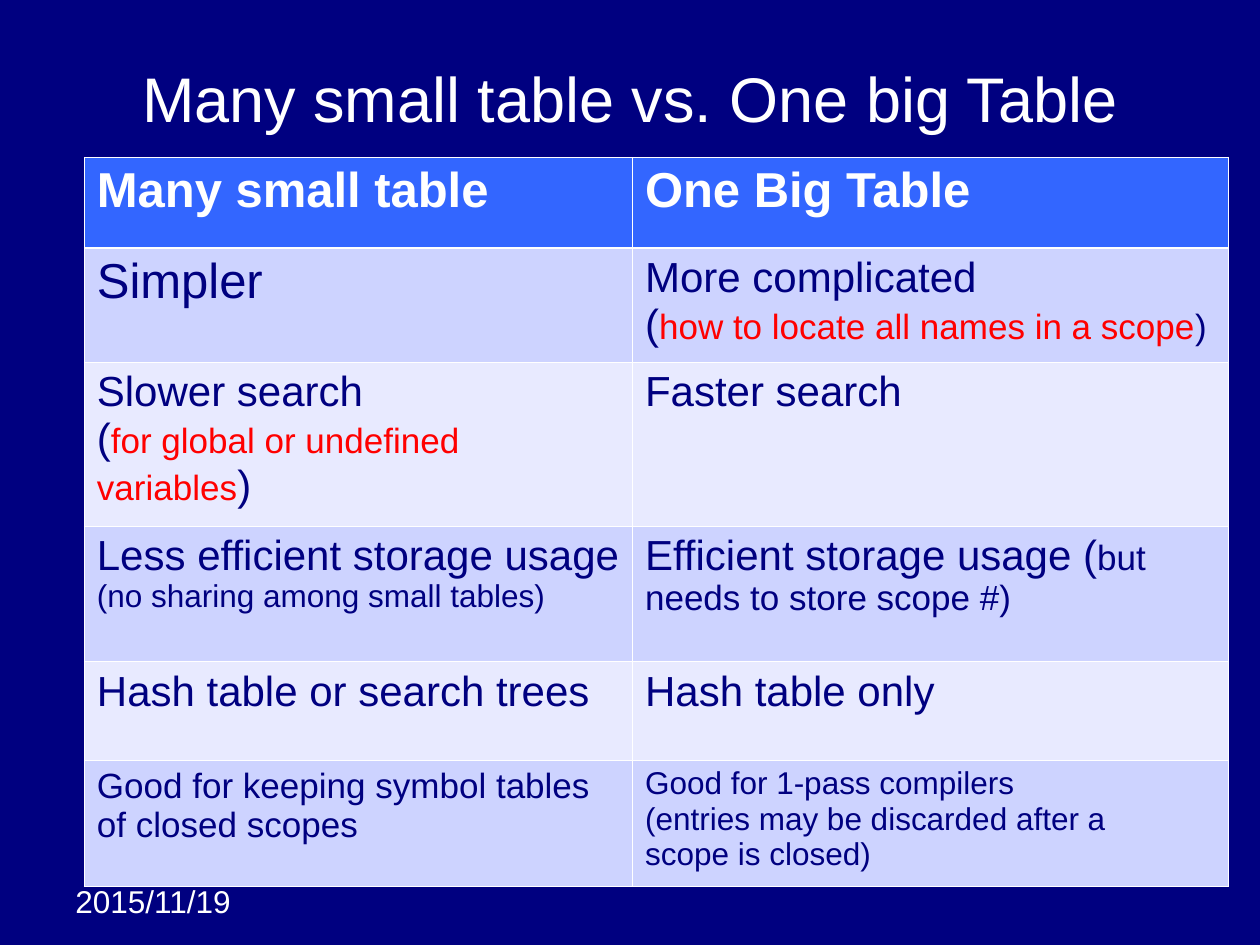
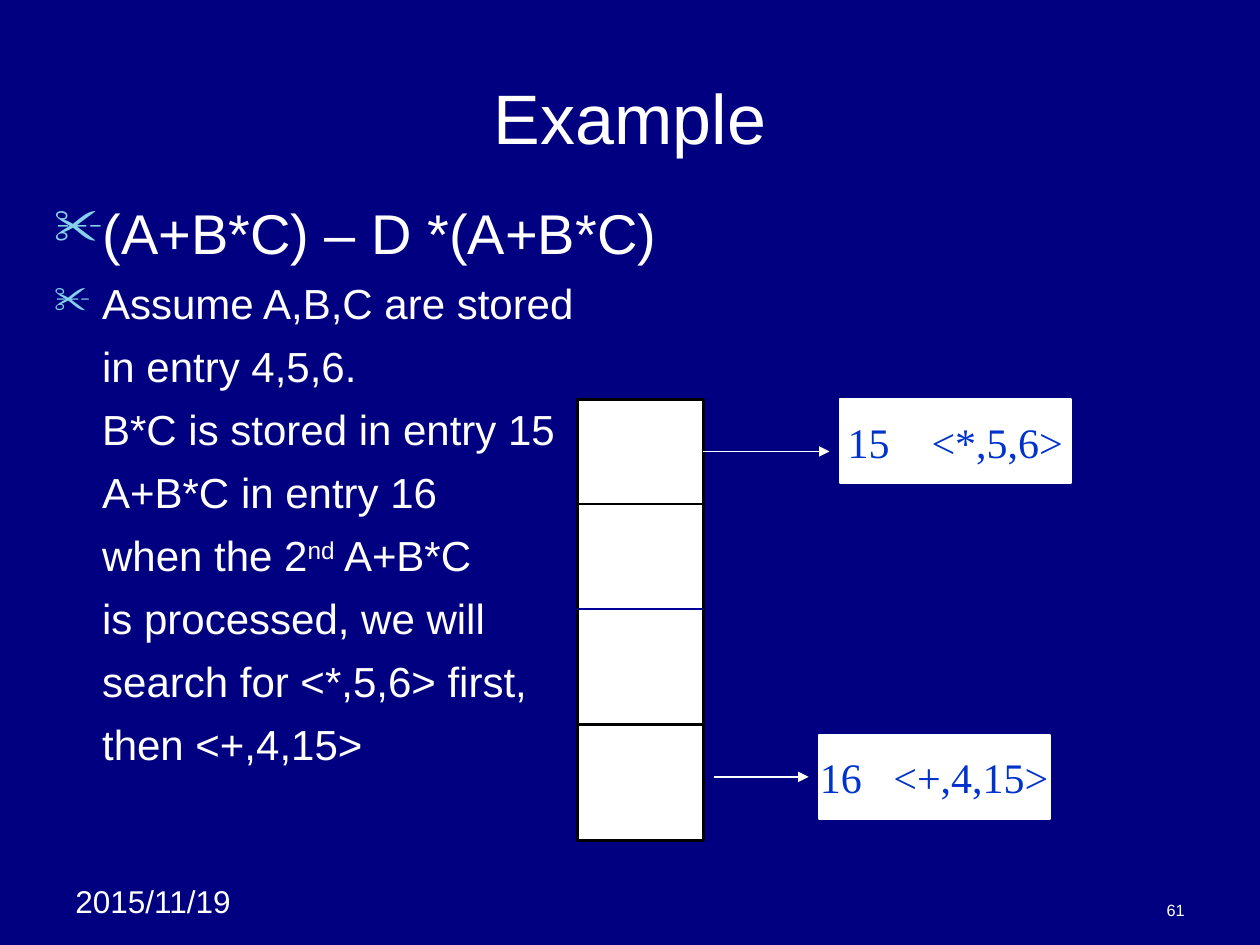
from dataclasses import dataclass
from typing import NamedTuple

from lxml.etree import SubElement
from pptx import Presentation
from pptx.dml.color import RGBColor
from pptx.enum.shapes import MSO_CONNECTOR, MSO_SHAPE
from pptx.enum.text import MSO_ANCHOR, PP_ALIGN
from pptx.oxml import parse_xml
from pptx.oxml.ns import nsdecls, qn
from pptx.util import Cm, Pt

COLORS = {
    "navy": "000080",
    "white": "FFFFFF",
    "black": "000000",
    "red": "FF0000",
    "header": "3366FF",
    "band_dark": "CDD3FF",
    "band_light": "E8EAFF",
    "bullet": "86D1EC",
    "divider": "000099",
    "entry": "0033CC",
}
SANS = "Arial"
SERIF = "Times New Roman"
THIN, THICK = 0.45, 1.47
HANGING = 0.97


class Box(NamedTuple):
    left: float
    top: float
    width: float
    height: float

    def lengths(self) -> list:
        return [Cm(value) for value in self]


@dataclass(frozen=True)
class Span:
    text: str
    size: float = 24
    color: str = "navy"
    bold: bool = False
    font: str = SANS
    superscript: bool = False


@dataclass(frozen=True)
class Line:
    start: tuple[float, float]
    end: tuple[float, float]
    color: str
    width: float
    arrow: bool = False


@dataclass(frozen=True)
class Entry:
    box: Box
    text: str
    inset: float
    tab: float


DATE_BOX = Box(1.27, 17.65, 4.01, 1.02)
NUMBER_BOX = Box(18.21, 17.98, 5.92, 0.69)
TABLE_BOX = Box(1.7, 3.17, 23.06, 14.68)
BODY_BOX = Box(0.84, 3.87, 22.66, 13.3)
STACK_BOX = Box(11.64, 8.05, 2.54, 8.89)

COLUMN_WIDTHS = (11.05, 12.01)
ROW_HEIGHTS = (1.83, 2.3, 3.29, 2.74, 1.98, 2.54)

COMPARISON = [
    [
        [[Span("Many small table", 28, "white", True)]],
        [[Span("One Big Table", 28, "white", True)]],
    ],
    [
        [[Span("Simpler", 28)]],
        [
            [Span("More complicated")],
            [Span("("), Span("how to locate all names in a scope", 20, "red"), Span(")", 20)],
        ],
    ],
    [
        [
            [Span("Slower search")],
            [Span("("), Span("for global or undefined variables", 20, "red"), Span(")")],
        ],
        [[Span("Faster search")]],
    ],
    [
        [[Span("Less efficient storage usage")], [Span("(no sharing among small tables)", 18)]],
        [[Span("Efficient storage usage ("), Span("but needs to store scope #)", 20)]],
    ],
    [[[Span("Hash table or search trees")]], [[Span("Hash table only")]]],
    [
        [[Span("Good for keeping symbol tables of closed scopes", 20)]],
        [
            [Span("Good for 1-pass compilers", 18)],
            [Span("(entries may be discarded after a", 18)],
            [Span("scope is closed)", 18)],
        ],
    ],
]

EXPRESSION = [Span("(A+B*C) – D *(A+B*C)", 32, "white")]
EXPLANATION = [
    [Span("Assume A,B,C are stored", color="white")],
    [Span("in entry 4,5,6.", color="white")],
    [Span("B*C is stored in entry 15", color="white")],
    [Span("A+B*C in entry 16", color="white")],
    [
        Span("when the 2", color="white"),
        Span("nd", color="white", superscript=True),
        Span(" A+B*C", color="white"),
    ],
    [Span("is processed, we will", color="white")],
    [Span("search for <*,5,6> first,", color="white")],
    [Span("then <+,4,15>", color="white")],
]
BULLETED = 2

STACK_RIGHT = STACK_BOX.left + STACK_BOX.width
STACK_LINES = [
    Line((STACK_BOX.left, y), (STACK_RIGHT, y), color, width)
    for y, color, width in (
        (12.27, "divider", 1),
        (10.16, "black", 1.5),
        (14.6, "black", 1.5),
    )
]
POINTERS = [
    Line((STACK_RIGHT, 9.1), (16.72, 9.1), "white", 1, True),
    Line((14.4, 15.66), (16.3, 15.66), "white", 1, True),
]
ENTRIES = [
    Entry(Box(16.93, 8.05, 4.66, 1.69), "15\t<*,5,6>", 0.16, 1.69),
    Entry(Box(16.51, 14.82, 4.66, 1.69), "16\t<+,4,15>", 0.02, 1.48),
]


def rgb(name: str) -> RGBColor:
    return RGBColor.from_string(COLORS[name])


def style_run(run, span: Span) -> None:
    run.font.name = span.font
    run.font.size = Pt(span.size)
    run.font.bold = span.bold
    run.font.color.rgb = rgb(span.color)
    if span.superscript:
        run._r.get_or_add_rPr().set("baseline", "30000")


def write_paragraphs(frame, lines: list[list[Span]]) -> None:
    frame.text = "\n".join(spans[0].text for spans in lines)
    for paragraph, spans in zip(frame.paragraphs, lines):
        for span in spans[1:]:
            paragraph.add_run().text = span.text
        for run, span in zip(paragraph.runs, spans):
            style_run(run, span)


def add_text(slide, box: Box, lines: list[list[Span]], align=PP_ALIGN.LEFT, anchor=MSO_ANCHOR.TOP):
    frame = slide.shapes.add_textbox(*box.lengths()).text_frame
    frame.word_wrap = True
    frame.vertical_anchor = anchor
    write_paragraphs(frame, lines)
    for paragraph in frame.paragraphs:
        paragraph.alignment = align
    return frame


def add_titled_slide(prs, title: str, size: float, height: float):
    slide = prs.slides.add_slide(prs.slide_layouts[6])
    add_text(slide, DATE_BOX, [[Span("2015/11/19", 18, "white")]])
    add_text(
        slide,
        Box(1.27, 0.76, 22.86, height),
        [[Span(title, size, "white")]],
        PP_ALIGN.CENTER,
        MSO_ANCHOR.MIDDLE,
    )
    return slide


def set_borders(cell, top: float, bottom: float) -> None:
    properties = cell._tc.get_or_add_tcPr()
    widths = {"lnL": THIN, "lnR": THIN, "lnT": top, "lnB": bottom}
    for index, (side, width) in enumerate(widths.items()):
        border = parse_xml(
            f'<a:{side} {nsdecls("a")} w="{Pt(width)}"><a:solidFill>'
            f'<a:srgbClr val="{COLORS["white"]}"/></a:solidFill></a:{side}>'
        )
        properties.insert(index, border)


def add_comparison(slide) -> None:
    table = slide.shapes.add_table(
        len(ROW_HEIGHTS), len(COLUMN_WIDTHS), *TABLE_BOX.lengths()
    ).table
    for column, width in zip(table.columns, COLUMN_WIDTHS):
        column.width = Cm(width)
    for index, (row, height) in enumerate(zip(table.rows, ROW_HEIGHTS)):
        row.height = Cm(height)
        band = "header" if index == 0 else ("band_light", "band_dark")[index % 2]
        for cell, lines in zip(row.cells, COMPARISON[index]):
            cell.fill.solid()
            cell.fill.fore_color.rgb = rgb(band)
            set_borders(cell, THICK if index == 1 else THIN, THICK if index == 0 else THIN)
            write_paragraphs(cell.text_frame, lines)


def add_bullet(properties) -> None:
    color = SubElement(properties, qn("a:buClr"))
    SubElement(color, qn("a:srgbClr"), val=COLORS["bullet"])
    SubElement(properties, qn("a:buSzPct"), val="90000")
    SubElement(properties, qn("a:buChar"), char="✂")


def add_explanation(slide) -> None:
    frame = add_text(slide, BODY_BOX, [EXPRESSION, *EXPLANATION])
    for index, paragraph in enumerate(frame.paragraphs):
        properties = paragraph._p.get_or_add_pPr()
        properties.set("marL", str(Cm(HANGING)))
        properties.set("indent", str(-Cm(HANGING) if index < BULLETED else 0))
        if index < BULLETED:
            add_bullet(properties)
        if index > 0:
            paragraph.space_before = Pt(7.2)


def add_block(slide, box: Box, outline: str, width: float):
    block = slide.shapes.add_shape(MSO_SHAPE.RECTANGLE, *box.lengths())
    block.shadow.inherit = False
    block.fill.solid()
    block.fill.fore_color.rgb = rgb("white")
    block.line.color.rgb = rgb(outline)
    block.line.width = Pt(width)
    return block


def add_line(slide, line: Line) -> None:
    ends = [Cm(value) for value in (*line.start, *line.end)]
    connector = slide.shapes.add_connector(MSO_CONNECTOR.STRAIGHT, *ends)
    connector.line.color.rgb = rgb(line.color)
    connector.line.width = Pt(line.width)
    if line.arrow:
        SubElement(connector.line._get_or_add_ln(), qn("a:tailEnd"), type="triangle")
    SubElement(connector._element.spPr, qn("a:effectLst"))


def add_entry(slide, entry: Entry) -> None:
    frame = add_block(slide, entry.box, "white", 1).text_frame
    frame.word_wrap = True
    frame.vertical_anchor = MSO_ANCHOR.MIDDLE
    frame.margin_left, frame.margin_right = Cm(entry.inset), 0
    frame.text = entry.text
    paragraph = frame.paragraphs[0]
    paragraph.alignment = PP_ALIGN.LEFT
    tabs = SubElement(paragraph._p.get_or_add_pPr(), qn("a:tabLst"))
    SubElement(tabs, qn("a:tab"), pos=str(Cm(entry.tab)), algn="l")
    for run in paragraph.runs:
        style_run(run, Span(run.text, color="entry", font=SERIF))


def main() -> None:
    prs = Presentation()
    prs.slide_width, prs.slide_height = Cm(25.4), Cm(19.05)
    background = prs.slide_master.background.fill
    background.solid()
    background.fore_color.rgb = rgb("navy")

    add_comparison(add_titled_slide(prs, "Many small table vs. One big Table", 36, 2.41))

    example = add_titled_slide(prs, "Example", 40, 3.18)
    add_text(
        example, NUMBER_BOX, [[Span("61", 9.3, "white")]], PP_ALIGN.RIGHT, MSO_ANCHOR.BOTTOM
    )
    add_explanation(example)
    add_block(example, STACK_BOX, "black", 1.5)
    for line in STACK_LINES + POINTERS:
        add_line(example, line)
    for entry in ENTRIES:
        add_entry(example, entry)
    prs.save("out.pptx")


if __name__ == "__main__":
    main()
